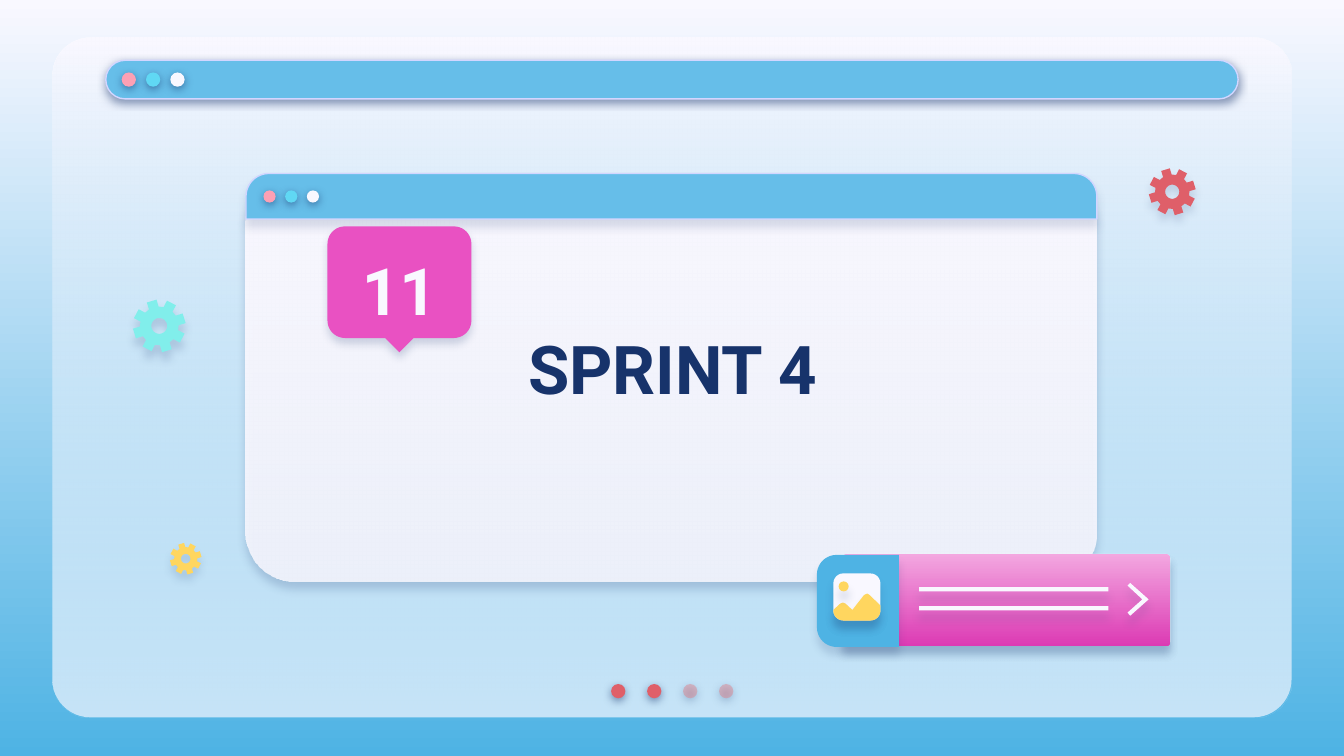
import math

from lxml import etree
from pptx import Presentation
from pptx import util as u
from pptx.dml.color import RGBColor
from pptx.enum import shapes, text
from pptx.oxml import ns

WHITE = RGBColor(0xF9, 0xF8, 0xFF)
NAVY = RGBColor(0x17, 0x33, 0x6B)
BLUE = RGBColor(0x4E, 0xB3, 0xE4)
SKY = RGBColor(0x66, 0xBE, 0xE9)
LAVENDER = RGBColor(0xD2, 0xD6, 0xFF)
PINK = RGBColor(0xFD, 0xA0, 0xB4)
CYAN = RGBColor(0x60, 0xD8, 0xF4)
RED = RGBColor(0xDF, 0x5F, 0x69)
PALE_RED = RGBColor(0xE2, 0x7B, 0x83)
AQUA = RGBColor(0x81, 0xEE, 0xEB)
YELLOW = RGBColor(0xFF, 0xD6, 0x5F)
MAGENTA = RGBColor(0xE9, 0x51, 0xC2)
ORCHID = RGBColor(0xF3, 0xA7, 0xE0)
DEEP_PINK = RGBColor(0xDC, 0x3B, 0xB4)

# Shadows: opacity %, distance in points
DOT_SHADOW = (50, 1.5)
CARD_SHADOW = (15, 4.5)
SOFT_SHADOW = (15, 3.8)
WINDOW_SHADOW = (22, 3.8)
CALLOUT_SHADOW = (19, 3)

KIND = shapes.MSO_SHAPE


# Styling
def set_alpha(color_element, percent):
    alpha = etree.SubElement(color_element, ns.qn("a:alpha"))
    alpha.set("val", str(percent * 1000))


def fill_gradient(fill, top, bottom, bottom_alpha=100):
    fill.gradient()
    fill.gradient_angle = 270
    for stop, color, position in zip(fill.gradient_stops, (top, bottom), (0, 1)):
        stop.color.rgb = color
        stop.position = position
    if bottom_alpha < 100:
        set_alpha(fill._xPr.findall(".//" + ns.qn("a:srgbClr"))[-1], bottom_alpha)


def style(shape, fill, shadow=None, line=None, alpha=100):
    """Fill with a colour or with (top, bottom[, bottom alpha])."""
    if isinstance(fill, RGBColor):
        shape.fill.solid()
        shape.fill.fore_color.rgb = fill
        if alpha < 100:
            set_alpha(shape.fill._xPr.find(".//" + ns.qn("a:srgbClr")), alpha)
    else:
        fill_gradient(shape.fill, *fill)
    if line is None:
        shape.line.fill.background()
    else:
        shape.line.color.rgb = line
        shape.line.width = u.Pt(0.75)
    shape.shadow.inherit = False
    if shadow:
        opacity, distance = shadow
        effects = shape._element.spPr.find(ns.qn("a:effectLst"))
        outer = etree.SubElement(effects, ns.qn("a:outerShdw"), blurRad=str(u.Pt(4.5)),
                                 dist=str(u.Pt(distance)), dir="5400000",
                                 algn="bl", rotWithShape="0")
        color = etree.SubElement(outer, ns.qn("a:srgbClr"), val=str(NAVY))
        set_alpha(color, opacity)
    return shape


def write(shape, words, size, color):
    frame = shape.text_frame
    frame.word_wrap = True
    frame.vertical_anchor = text.MSO_ANCHOR.MIDDLE
    frame.margin_left = frame.margin_right = u.Cm(0.25)
    frame.margin_top = frame.margin_bottom = u.Cm(0.25)
    paragraph = frame.paragraphs[0]
    paragraph.text = words
    paragraph.alignment = text.PP_ALIGN.CENTER
    font = paragraph.font
    font.name, font.size, font.bold = "Roboto", u.Pt(size), True
    font.color.rgb = color


# Geometry, in centimetres
def add_preset(slide, kind, box, fill, adjustments=(), **look):
    shape = slide.shapes.add_shape(kind, *map(u.Cm, box))
    for index, value in enumerate(adjustments):
        shape.adjustments[index] = value
    return style(shape, fill, **look)


def add_outline(slide, contours, fill, **look):
    contours = [[(u.Cm(x), u.Cm(y)) for x, y in contour] for contour in contours]
    builder = slide.shapes.build_freeform(*contours[0][0])
    for index, contour in enumerate(contours):
        if index:
            builder.move_to(*contour[0])
        builder.add_line_segments(contour[1:], close=True)
    return style(builder.convert_to_shape(), fill, **look)


def polar(x, y, radius, degrees):
    angle = math.radians(degrees)
    return x + radius * math.cos(angle), y + radius * math.sin(angle)


def arc(x, y, radius, start, sweep=90, steps=10):
    return [polar(x, y, radius, start + sweep * i / steps) for i in range(steps + 1)]


def add_dots(slide, left, top, size, pitch, colors):
    for index, (color, alpha) in enumerate(colors):
        add_preset(slide, KIND.OVAL, (left + index * pitch, top, size, size), color,
                   shadow=DOT_SHADOW, alpha=alpha)


WINDOW_DOTS = [(PINK, 100), (CYAN, 100), (WHITE, 100)]


# Regions
def add_backdrop(slide, left, top, width, height):
    box = (left, top, width, height)
    for fill in (WHITE, (WHITE, SKY, 34)):
        add_preset(slide, KIND.ROUNDED_RECTANGLE, box, fill, [0.056])
    # Page dots
    add_dots(slide, left + 10.56, top + 12.22, 0.27, 0.68,
             [(RED, 100)] * 2 + [(PALE_RED, 44)] * 2)
    # Top bar
    add_preset(slide, KIND.ROUNDED_RECTANGLE, (left + 1.01, top + 0.43, width - 2.02, 0.73),
               SKY, [0.5], shadow=DOT_SHADOW, line=LAVENDER)
    add_dots(slide, left + 1.31, top + 0.66, 0.27, 0.46, WINDOW_DOTS)


def add_window(slide, left, top, width, height):
    add_preset(slide, KIND.ROUNDED_RECTANGLE, (left, top, width, height),
               (WHITE, WHITE, 86), [0.124], shadow=WINDOW_SHADOW)
    add_preset(slide, KIND.ROUND_2_SAME_RECTANGLE, (left, top, width, 0.86),
               SKY, [0.5, 0], shadow=SOFT_SHADOW, line=LAVENDER)
    add_dots(slide, left + 0.33, top + 0.32, 0.23, 0.41, WINDOW_DOTS)
    # Title
    title = slide.shapes.add_textbox(*map(u.Cm, (left + 2.33, top + 2.87, 11.46, 1.6)))
    write(title, "SPRINT 4", 36, NAVY)


def add_card(slide, left, top, width, height):
    look = {"shadow": CARD_SHADOW}
    for fill in (WHITE, (ORCHID, DEEP_PINK)):
        add_preset(slide, KIND.ROUNDED_RECTANGLE, (left + 0.48, top, width - 0.48, height - 0.02),
                   fill, [0.05], **look)
    # Blue tab, rounded on the left
    radius, right, bottom = 0.37, left + 1.55, top + height
    tab = arc(left + radius, bottom - radius, radius, 90)
    tab += arc(left + radius, top + 0.02 + radius, radius, 180)
    add_outline(slide, [tab + [(right, top + 0.02), (right, bottom)]], BLUE, **look)
    # Text lines
    for offset in (0.63, 0.99):
        add_preset(slide, KIND.RECTANGLE, (left + 1.93, top + offset, 3.58, 0.08), WHITE, **look)
    # Chevron
    chevron = [(0.05, 0), (0, 0.05), (0.28, 0.31), (0, 0.56), (0.05, 0.62), (0.4, 0.31)]
    add_outline(slide, [[(left + 5.87 + x, top + 0.55 + y) for x, y in chevron]], WHITE, **look)
    # Photo icon
    side, corner, x0, y0 = 0.89, 0.19, left + 0.31, top + 0.37
    add_preset(slide, KIND.ROUNDED_RECTANGLE, (x0, y0, side, side), WHITE, [corner / side], **look)
    ridge = [(0, 0.69), (0.13, 0.57), (0.18, 0.55), (0.23, 0.57), (0.36, 0.69),
             (0.58, 0.41), (0.64, 0.38), (0.69, 0.41), (side, 0.61)]
    hills = [(x0 + x, y0 + y) for x, y in ridge]
    hills += arc(x0 + side - corner, y0 + side - corner, corner, 0)
    hills += arc(x0 + corner, y0 + side - corner, corner, 90)
    add_outline(slide, [hills], YELLOW, **look)
    add_preset(slide, KIND.OVAL, (x0 + 0.1, y0 + 0.15, 0.19, 0.19), YELLOW, **look)


def add_gear(slide, left, top, size, color, shadow):
    radius = size / 2
    x, y = left + radius, top + radius
    teeth = [polar(x, y, radius * scale, -107 + 45 * tooth + turn)
             for tooth in range(8)
             for scale, turn in ((0.73, -15), (1, -11), (1, 11), (0.73, 15))]
    hole = arc(x, y, radius * 0.3, 0, -360, 30)
    add_outline(slide, [teeth, hole], color, shadow=shadow)


def add_callout(slide, left, top, width, height):
    radius, tail = 0.33, 0.27
    right, bottom, middle = left + width, top + height - tail, left + width / 2
    outline = arc(left + radius, top + radius, radius, 180)
    outline += arc(right - radius, top + radius, radius, 270)
    outline += arc(right - radius, bottom - radius, radius, 0)
    outline += [(middle + tail, bottom), (middle, top + height), (middle - tail, bottom)]
    outline += arc(left + radius, bottom - radius, radius, 90)
    shape = add_outline(slide, [outline], MAGENTA, shadow=CALLOUT_SHADOW)
    write(shape, "11", 35, WHITE)


def main():
    presentation = Presentation()
    presentation.slide_width, presentation.slide_height = u.Cm(25.4), u.Cm(14.29)
    slide = presentation.slides.add_slide(presentation.slide_layouts[6])
    fill_gradient(slide.background.fill, WHITE, BLUE)
    add_backdrop(slide, 0.99, 0.71, 23.42, 12.85)
    add_window(slide, 4.65, 3.28, 16.08, 7.72)
    add_card(slide, 15.44, 10.47, 6.68, 1.76)
    add_gear(slide, 2.51, 5.66, 1, AQUA, (16, 4.5))
    add_gear(slide, 21.71, 3.18, 0.89, RED, SOFT_SHADOW)
    add_gear(slide, 3.21, 10.26, 0.6, YELLOW, SOFT_SHADOW)
    add_callout(slide, 6.19, 4.28, 2.72, 2.38)
    presentation.save("out.pptx")


if __name__ == "__main__":
    main()
